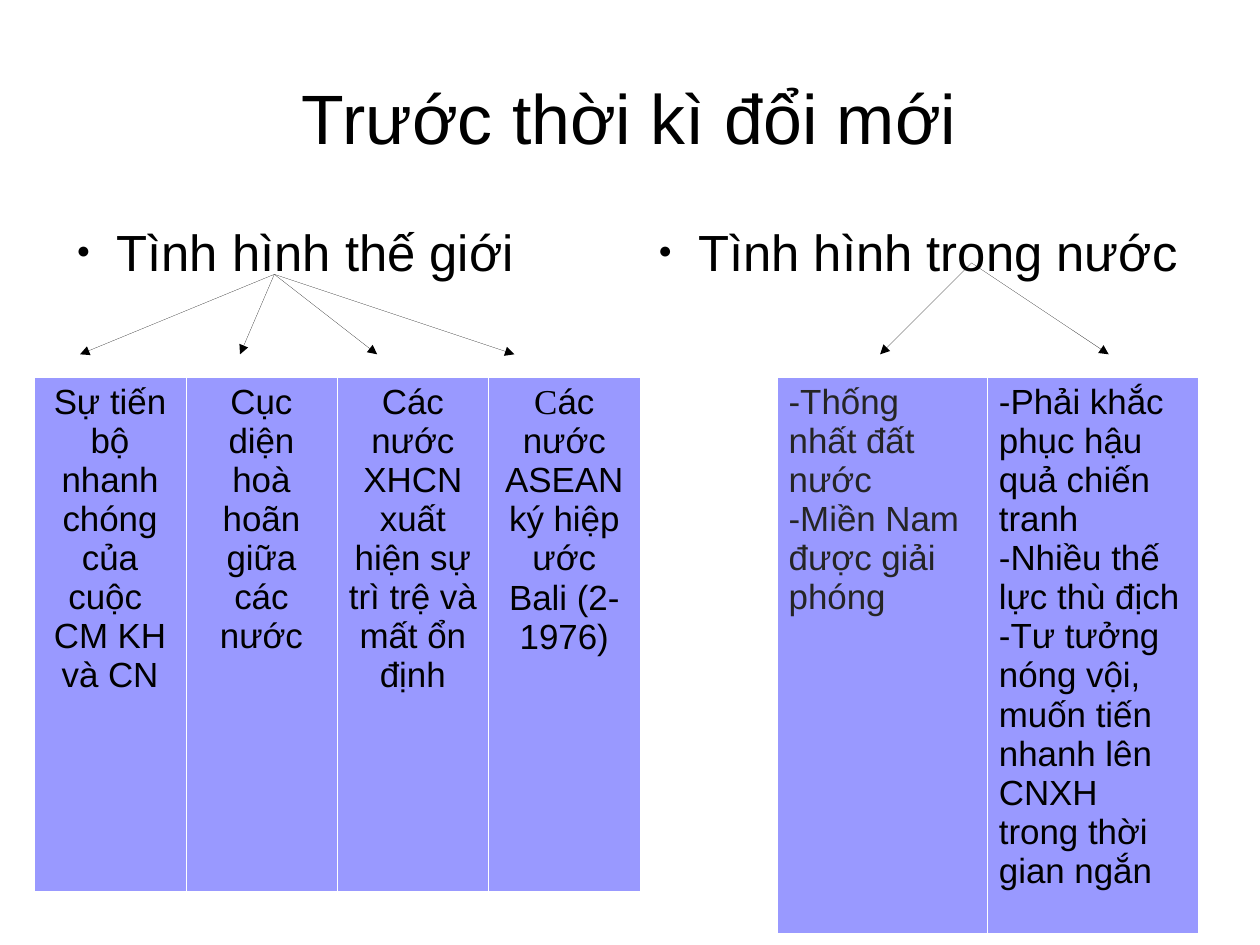
from pptx import Presentation, util as u
from pptx.dml.color import RGBColor
from pptx.enum import shapes, text
from pptx.oxml import parse_xml
from pptx.oxml.ns import nsdecls

GRID = 0.1
THEME = dict(
    font="Arial", serif="Times New Roman", title=44, head=32, cell=22,
    ink="000000", soft="252525", fill="9999FF", edge="FFFFFF",
)
MID, LEFT = text.PP_ALIGN.CENTER, text.PP_ALIGN.LEFT

WORLD = dict(
    head="Tình hình thế giới",
    root=(18.5, 4.7), tips=(1.5, 15.5, 27.5, 39.5),
    table=(-2.5, 13.7, 53, 45), align=MID,
    cells=[
        (["Sự tiến bộ nhanh chóng của cuộc ", "CM KH và CN"], "ink"),
        (["Cục diện hoà hoãn giữa các nước"], "ink"),
        (["Các nước XHCN xuất hiện sự trì trệ và ", "mất ổn định"], "ink"),
        ([[("C", "serif"), ("ác nước ASEAN ký hiệp ước Bali (2-1976)", "font")]], "ink"),
    ],
)
HOME = dict(
    head="Tình hình trong nước",
    root=(28.6, 3.7), tips=(20.6, 40.6),
    table=(11.6, 13.7, 36.8, 40), align=LEFT,
    cells=[
        (["-Thống nhất đất nước", "-Miền Nam được giải phóng"], "soft"),
        (["-Phải khắc phục hậu quả chiến tranh", "-Nhiều thế lực thù địch",
          "-Tư tưởng nóng vội, muốn tiến nhanh lên CNXH trong thời gian ngắn"], "ink"),
    ],
)


def grid(*nums):
    return [u.Inches(n * GRID) for n in nums]


def xml(tag, body="", attrs=""):
    return parse_xml(f"<a:{tag} {nsdecls('a')} {attrs}>{body}</a:{tag}>")


def assign(item, **vals):
    for key, val in vals.items():
        setattr(item, key, val)


def write(frame, lines, size, align=LEFT, ink="ink"):
    for i, line in enumerate(lines):
        para = frame.add_paragraph() if i else frame.paragraphs[0]
        para.alignment = align
        for words, face in [(line, "font")] if isinstance(line, str) else line:
            run = para.add_run()
            run.text = words
            assign(run.font, name=THEME[face], size=u.Pt(THEME[size]))
            run.font.color.rgb = RGBColor.from_string(THEME[ink])


def label(slide, box, words, size, **look):
    frame = slide.shapes.add_textbox(*grid(*box)).text_frame
    assign(frame, word_wrap=True, margin_left=0, margin_right=0,
           margin_top=0, margin_bottom=0)
    write(frame, [words], size, **look)
    return frame


def title(slide, box, words):
    frame = label(slide, box, words, "title", align=MID)
    frame.vertical_anchor = text.MSO_ANCHOR.MIDDLE


def heading(slide, box, words):
    frame = label(slide, box, words, "head")
    props = frame.paragraphs[0]._p.get_or_add_pPr()
    for key, val in dict(marL=0.47, indent=-0.35).items():
        props.set(key, str(u.Inches(val)))
    ink = f'<a:srgbClr val="{THEME["ink"]}"/>'
    props.append(xml("buClr", ink))
    props.append(xml("buSzPct", attrs='val="45000"'))
    props.append(xml("buFont", attrs=f'typeface="{THEME["font"]}"'))
    props.append(xml("buChar", attrs='char="●"'))


def arrow(slide, start, end):
    line = slide.shapes.add_connector(
        shapes.MSO_CONNECTOR.STRAIGHT, *grid(*start, *end))
    line.line.color.rgb = RGBColor.from_string(THEME["ink"])
    stroke = line.line._get_or_add_ln()
    stroke.set("w", "0")
    stroke.append(xml("tailEnd", attrs='type="triangle"'))
    line._element.spPr.append(xml("effectLst"))


def table(slide, box, cells, align):
    board = slide.shapes.add_table(1, len(cells), *grid(*box)).table
    assign(board, first_row=False, horz_banding=False)
    paint = f'<a:solidFill><a:srgbClr val="{THEME["edge"]}"/></a:solidFill>'
    for cell, (lines, ink) in zip(board.rows[0].cells, cells):
        cell.fill.solid()
        cell.fill.fore_color.rgb = RGBColor.from_string(THEME["fill"])
        props = cell._tc.get_or_add_tcPr()
        for i, side in enumerate("LRTB"):
            props.insert(i, xml("ln" + side, paint, 'w="762"'))
        write(cell.text_frame, lines, "cell", align, ink)


def panel(slide, box, data):
    x, y, w, h = box
    heading(slide, box, data["head"])
    dx, dy, tw, th = data["table"]
    table(slide, (x + dx, y + dy, tw, th), data["cells"], data["align"])
    rx, ry = data["root"]
    for tip in data["tips"]:
        arrow(slide, (x + rx, y + ry), (x + tip, y + 11.7))


def main():
    deck = Presentation()
    deck.slide_width = u.Mm(280)
    deck.slide_height = u.Mm(210)
    slide = deck.slides.add_slide(deck.slide_layouts[6])
    title(slide, (5.5, 3.3, 99.2, 13.8), "Trước thời kì đổi mới")
    for i, data in enumerate((WORLD, HOME)):
        panel(slide, (5.5 + i * 50.9, 19.3, 48.4, 47.9), data)
    deck.save("out.pptx")


if __name__ == "__main__":
    main()
